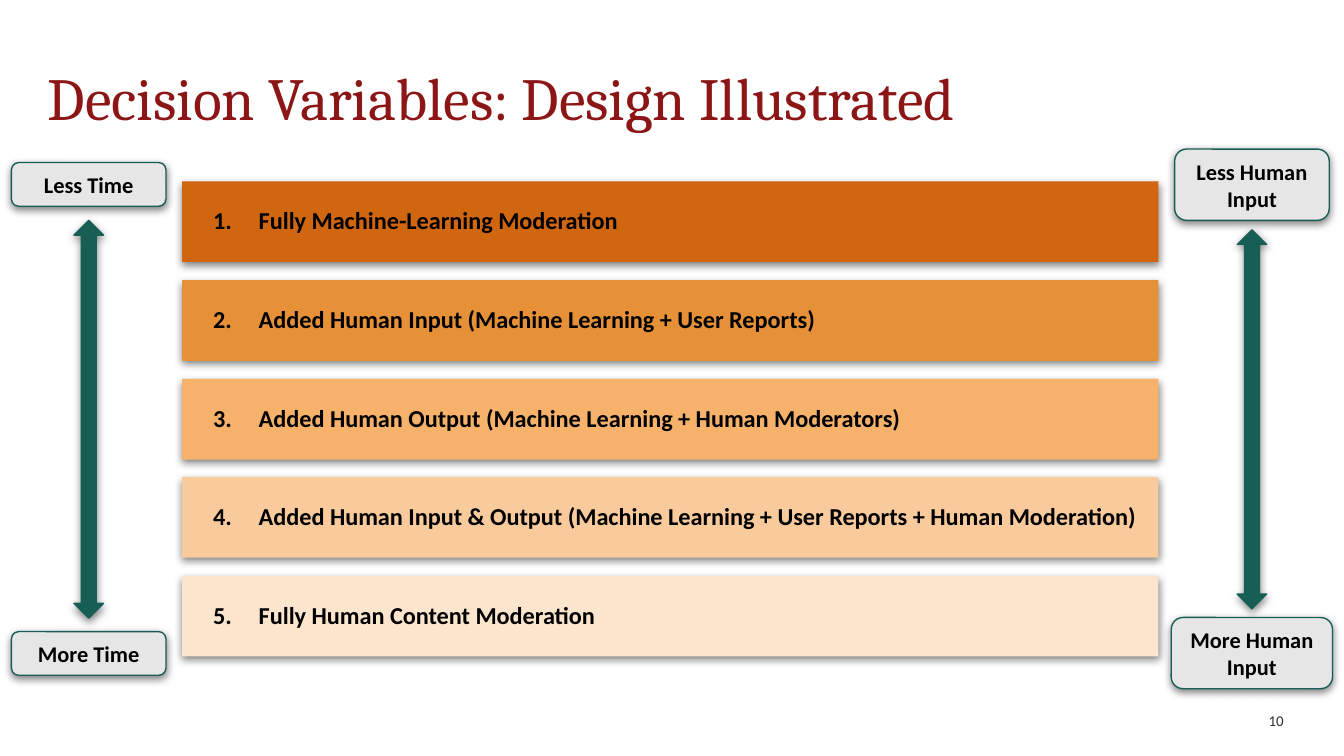
from dataclasses import dataclass

from lxml.etree import SubElement as Sub
from pptx import Presentation
from pptx.dml.color import RGBColor as Rgb
from pptx.enum.shapes import MSO_SHAPE as Shape
from pptx.enum.text import MSO_ANCHOR as Anchor, PP_ALIGN as Align
from pptx.oxml.ns import qn
from pptx.util import Pt

SCALE = 4572


@dataclass(frozen=True)
class Theme:
    """Hold the colours, fonts and type sizes."""
    head: str = "8C1515"
    ink: str = "000000"
    note: str = "2E2C28"
    green: str = "175E54"
    grey: str = "E7E6E6"
    bars: tuple = ("D16610", "E69138", "F6B26B", "F9CB9C", "FCE5CD")
    serif: str = "Cambria"
    sans: str = "Calibri"
    title: int = 32
    step: int = 13
    label: int = 12
    small: int = 8


THEME = Theme()
STEPS = (
    "Fully Machine-Learning Moderation",
    "Added Human Input (Machine Learning + User Reports)",
    "Added Human Output (Machine Learning + Human Moderators)",
    "Added Human Input & Output (Machine Learning + User Reports + Human Moderation)",
    "Fully Human Content Moderation",
)


def px(num):
    """Turn px into EMU."""
    return num * SCALE


def number(para, start):
    """Number a paragraph with a hanging indent."""
    props = para._p.get_or_add_pPr()
    props.set("marL", str(px(100)))
    props.set("indent", str(px(-68)))
    Sub(Sub(props, qn("a:buClr")), qn("a:srgbClr"), val=THEME.ink)
    Sub(props, qn("a:buFont"), typeface=THEME.sans)
    Sub(props, qn("a:buAutoNum"), type="arabicPeriod", startAt=str(start))


def write(shape, text, size, color=THEME.ink, font=THEME.sans, bold=False,
          align=Align.LEFT, inset=(20, 10), space=None, start=None):
    """Put formatted text into a shape."""
    frame = shape.text_frame
    frame.word_wrap = True
    frame.vertical_anchor = Anchor.MIDDLE
    frame.margin_left = frame.margin_right = px(inset[0])
    frame.margin_top = frame.margin_bottom = px(inset[1])
    para = frame.paragraphs[0]
    if start:
        number(para, start)
    para.alignment = align
    para.line_spacing = space
    run = para.add_run()
    run.text = text
    run.font.name = font
    run.font.size = Pt(size)
    run.font.bold = bold
    run.font.color.rgb = Rgb.from_string(color)


def shade(shape):
    """Give a shape a soft shadow below it."""
    shape.shadow.inherit = False
    fx = shape._element.spPr.find(qn("a:effectLst"))
    drop = Sub(fx, qn("a:outerShdw"), blurRad=str(Pt(4.5)), dist=str(Pt(1.5)),
               dir="5400000", algn="bl", rotWithShape="0")
    tint = Sub(drop, qn("a:srgbClr"), val=THEME.ink)
    Sub(tint, qn("a:alpha"), val="50000")


def draw(slide, kind, box, fill, line=None):
    """Draw a filled shape with a shadow."""
    shape = slide.shapes.add_shape(kind, *map(px, box))
    shape.fill.solid()
    shape.fill.fore_color.rgb = Rgb.from_string(fill)
    if line:
        shape.line.color.rgb = Rgb.from_string(line)
        shape.line.width = Pt(0.75)
    else:
        shape.line.fill.background()
    shade(shape)
    return shape


def note(slide, box, text, size, **style):
    """Add a text box."""
    write(slide.shapes.add_textbox(*map(px, box)), text, size, **style)


def stack(slide):
    """Draw the numbered bars at an even pitch."""
    top, last = 270, 857
    pitch = (last - top) / (len(STEPS) - 1)
    for i, (text, fill) in enumerate(zip(STEPS, THEME.bars)):
        box = (271, round(top + i * pitch), 1453, 120)
        bar = draw(slide, Shape.RECTANGLE, box, fill)
        write(bar, text, THEME.step, bold=True, inset=(14, 8), space=0.9, start=i + 1)


def label(slide, box, text):
    """Draw a rounded label."""
    tag = draw(slide, Shape.ROUNDED_RECTANGLE, box, THEME.grey, THEME.green)
    tag.adjustments[0] = 0.167
    write(tag, text, THEME.label, bold=True, align=Align.CENTER, inset=(20, 20))


def arrow(slide, box):
    """Draw a two-way arrow."""
    draw(slide, Shape.UP_DOWN_ARROW, box, THEME.green, THEME.green)


def main():
    """Build the slide and save it."""
    deck = Presentation()
    deck.slide_width, deck.slide_height = px(2000), px(1125)
    slide = deck.slides.add_slide(deck.slide_layouts[6])
    note(slide, (71, 60, 1859, 180), "Decision Variables: Design Illustrated",
         THEME.title, color=THEME.head, font=THEME.serif, inset=(0, 10), space=0.9)
    note(slide, (1480, 1043, 450, 60), "10", THEME.small, color=THEME.note,
         align=Align.RIGHT)
    stack(slide)
    arrow(slide, (110, 328, 44, 592))
    label(slide, (17, 242, 230, 65), "Less Time")
    label(slide, (17, 940, 230, 65), "More Time")
    label(slide, (1748, 222, 230, 106), "Less Human Input")
    arrow(slide, (1841, 342, 44, 564))
    label(slide, (1743, 919, 240, 106), "More Human Input")
    deck.save("out.pptx")


if __name__ == "__main__":
    main()
